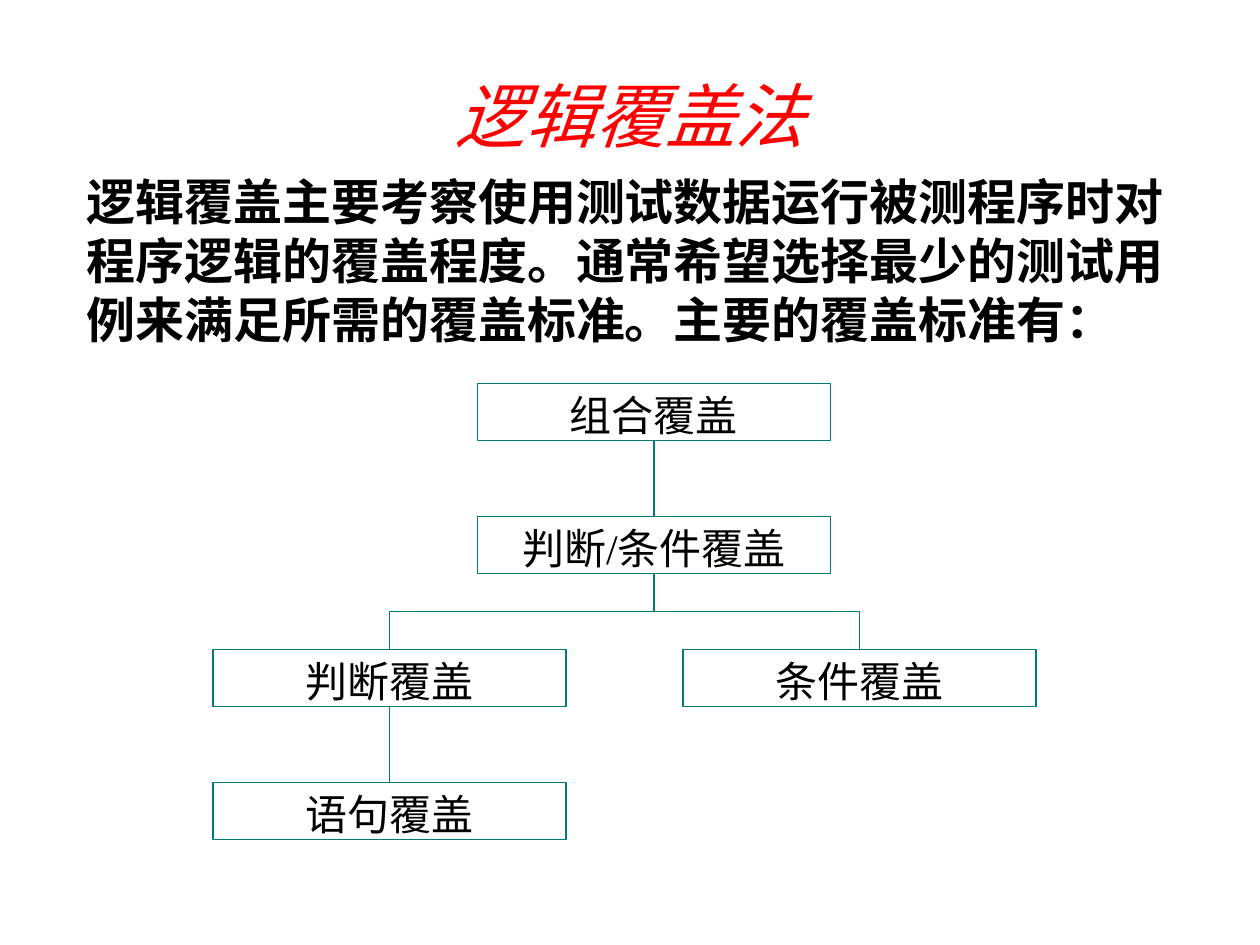
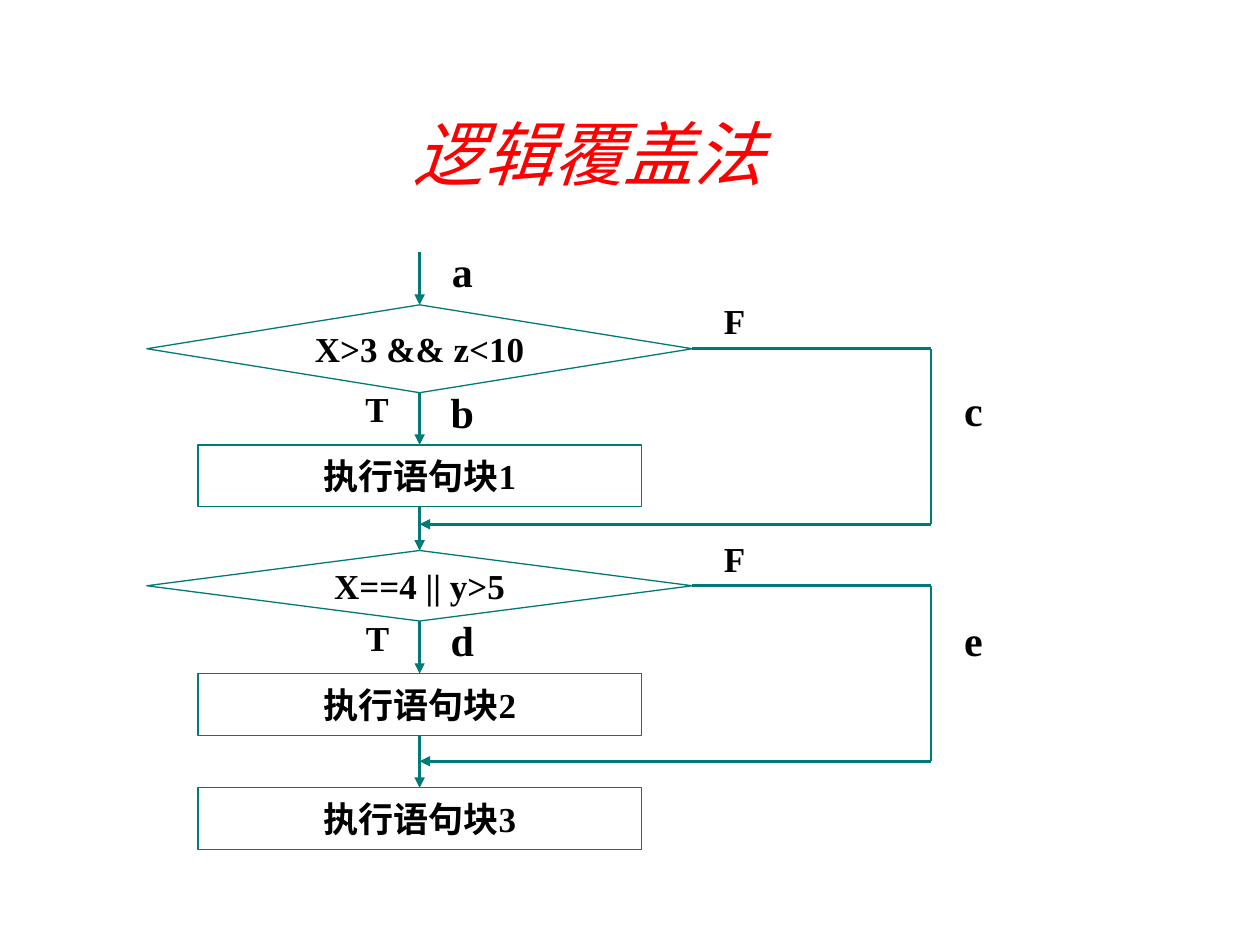
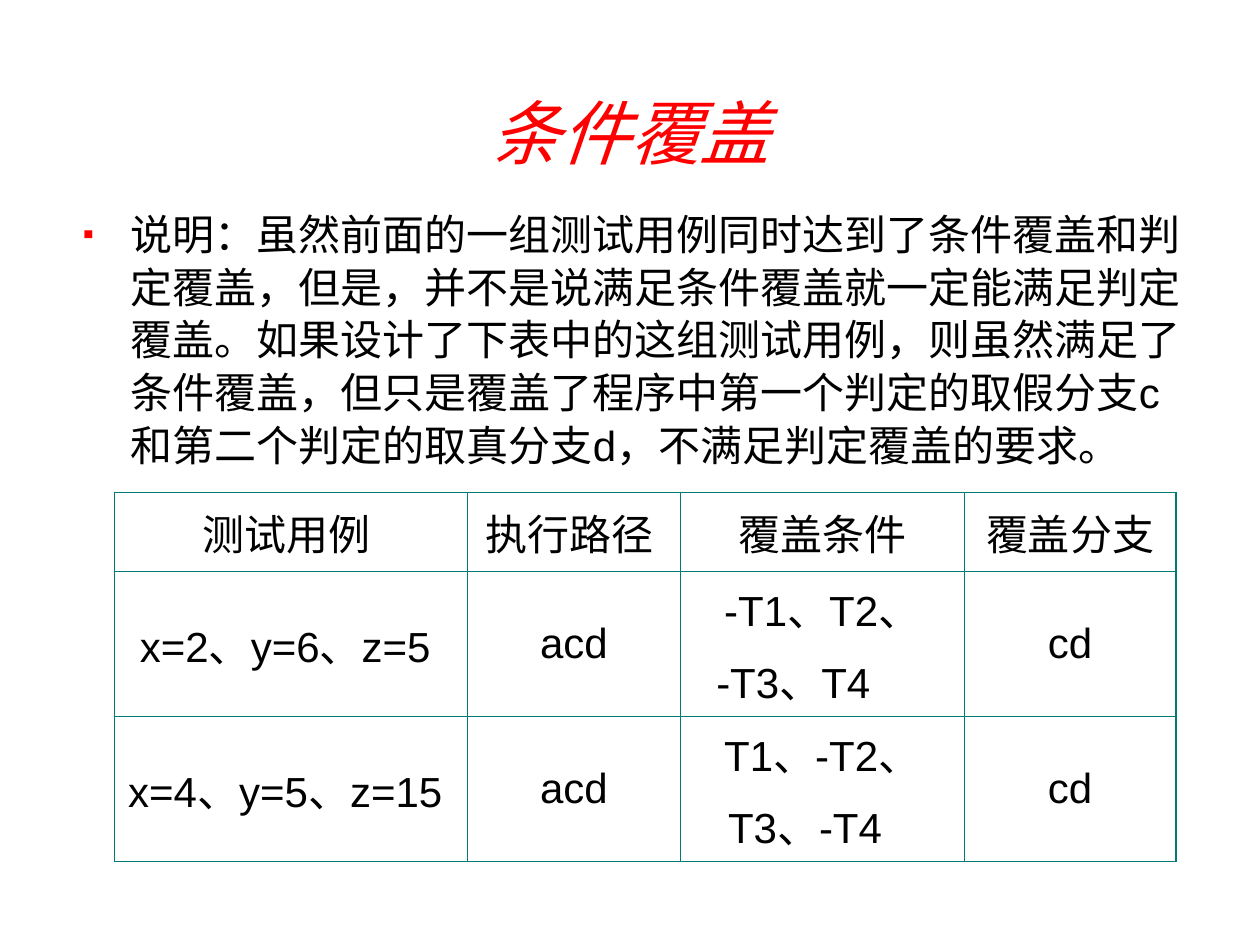
from lxml import etree
from pptx import Presentation
from pptx.dml.color import RGBColor
from pptx.enum.shapes import MSO_CONNECTOR, MSO_SHAPE
from pptx.enum.text import MSO_ANCHOR, PP_ALIGN
from pptx.oxml.ns import qn
from pptx.util import Pt

LINE = MSO_CONNECTOR.STRAIGHT
RECT = MSO_SHAPE.RECTANGLE
BLOCK = MSO_SHAPE.FLOWCHART_PROCESS
TEST = MSO_SHAPE.FLOWCHART_DECISION
TOP, MIDDLE, BOTTOM = MSO_ANCHOR.TOP, MSO_ANCHOR.MIDDLE, MSO_ANCHOR.BOTTOM
LEFT, CENTER = PP_ALIGN.LEFT, PP_ALIGN.CENTER
SANS, SERIF = "Arial", "Times New Roman"
RED, TEAL, BLACK = "FF0000", "007A77", "000000"
OUTER, INNER = 1.08, 0.45


def color(code):
    """Turn a hex string into a colour."""
    return RGBColor.from_string(code)


def add_node(parent, tag, **attrs):
    """Append a drawing element and return it."""
    node = etree.SubElement(parent, qn(tag))
    for name, value in attrs.items():
        node.set(name, str(value))
    return node


def style(para, size, font=SERIF, bold=False, italic=False, ink=BLACK, align=CENTER):
    """Format a paragraph and its runs."""
    para.alignment = align
    for run in para.runs:
        run.font.size = Pt(size)
        run.font.name = font
        run.font.bold = bold
        run.font.italic = italic
        run.font.color.rgb = color(ink)


def fill_text(shape, text, anchor, size, **look):
    """Put one styled paragraph into a shape."""
    frame = shape.text_frame
    frame.word_wrap = True
    frame.vertical_anchor = anchor
    frame.text = text
    para = frame.paragraphs[0]
    style(para, size, **look)
    return para


def add_text(slide, area, text, anchor, size, **look):
    """Add a text box."""
    box = slide.shapes.add_textbox(*map(Pt, area))
    return box, fill_text(box, text, anchor, size, **look)


def add_title(slide, text, area):
    """Add the red italic title."""
    add_text(slide, area, text, MIDDLE, 40, font=SANS, italic=True, ink=RED)


def add_box(slide, kind, area, text, anchor, size, bold=False):
    """Add an outlined shape with text."""
    box = slide.shapes.add_shape(kind, *map(Pt, area))
    box.shadow.inherit = False
    box.fill.background()
    box.line.color.rgb = color(TEAL)
    box.line.width = Pt(0.75)
    fill_text(box, text, anchor, size, bold=bold)


def add_line(slide, start, end, width=1.5, arrow=False):
    """Add a straight line, with an arrowhead on request."""
    line = slide.shapes.add_connector(LINE, *map(Pt, (*start, *end)))
    line.line.color.rgb = color(TEAL)
    line.line.width = Pt(width)
    if arrow:
        add_node(line.line._get_or_add_ln(), "a:tailEnd", type="triangle")
    add_node(line._element.spPr, "a:effectLst")


def add_label(slide, text, left, top, size):
    """Add a branch label without margins."""
    area = (left, top, 87.8, size * 1.2)
    box, _ = add_text(slide, area, text, BOTTOM, size, bold=True)
    frame = box.text_frame
    frame.margin_left = frame.margin_right = 0
    frame.margin_top = frame.margin_bottom = 0


def add_detour(slide, start, top, end, right, drop):
    """Lead a false branch round to the main flow."""
    low = top + drop
    add_line(slide, (start, top), (right, top))
    add_line(slide, (right, top), (right, low))
    add_line(slide, (right, low), (end, low), arrow=True)


def indent(para, left, first=0):
    """Set the left and first line indents."""
    props = para._p.get_or_add_pPr()
    props.set("marL", str(Pt(left)))
    props.set("indent", str(Pt(first)))
    return props


def add_bullet(para):
    """Give a paragraph a small red square."""
    props = indent(para, 27.36, -27.36)
    tint = add_node(props, "a:buClr")
    add_node(tint, "a:srgbClr", val=RED)
    add_node(props, "a:buSzPct", val=75000)
    add_node(props, "a:buFont", typeface=SANS)
    add_node(props, "a:buChar", char="▪")


def add_border(cell, widths):
    """Draw the left, right, top and bottom cell edges."""
    props = cell._tc.get_or_add_tcPr()
    for spot, (side, width) in enumerate(zip("LRTB", widths)):
        edge = add_node(props, f"a:ln{side}", w=Pt(width))
        paint = add_node(edge, "a:solidFill")
        add_node(paint, "a:srgbClr", val=TEAL)
        props.insert(spot, edge)


def fill_cell(cell, text, inset):
    """Write a cell, indenting any second line."""
    cell.fill.background()
    cell.vertical_anchor = MIDDLE
    cell.text_frame.text = text
    for spot, para in enumerate(cell.text_frame.paragraphs):
        style(para, 24, font=SANS, align=LEFT if spot else CENTER)
        para.space_before = Pt(6)
        if spot:
            indent(para, inset)


def add_grid(slide, area, cols, heights, rows, insets):
    """Add a table with a heavier outer frame."""
    table = slide.shapes.add_table(len(rows), len(cols), *map(Pt, area)).table
    table.first_row = table.horz_banding = False
    for col, width in zip(table.columns, cols):
        col.width = Pt(width)
    for r, row in enumerate(rows):
        table.rows[r].height = Pt(heights[r])
        for c, text in enumerate(row):
            cell = table.cell(r, c)
            fill_cell(cell, text, insets[r])
            edges = (c == 0, c == len(cols) - 1, r == 0, False)
            add_border(cell, [OUTER if edge else INNER for edge in edges])


def draw_tree(slide):
    """Build the tree of coverage criteria."""
    add_title(slide, "逻辑覆盖法", (23.8, 48.2, 672.5, 34.6))
    add_text(
        slide, (42.5, 94.5, 642.2, 108),
        "逻辑覆盖主要考察使用测试数据运行被测程序时对程序逻辑的覆盖程度。"
        "通常希望选择最少的测试用例来满足所需的覆盖标准。主要的覆盖标准有：",
        TOP, 28, bold=True, align=LEFT)
    wide, high = 201.6, 32.6
    left, mid, right = 222.6, 373.7, 491.2
    tops = [219 + 76 * level for level in range(4)]
    ends = [top + high for top in tops]
    bus = (ends[1] + tops[2]) / 2
    nodes = [(mid, 0, "组合覆盖"), (mid, 1, "判断/条件覆盖"), (left, 2, "判断覆盖"),
             (right, 2, "条件覆盖"), (left, 3, "语句覆盖")]
    for x, level, text in nodes:
        add_box(slide, RECT, (x - wide / 2, tops[level], wide, high), text, TOP, 24)
    stems = [(mid, ends[0], tops[1]), (mid, ends[1], bus), (left, bus, tops[2]),
             (right, bus, tops[2]), (left, ends[2], tops[3])]
    for x, top, end in stems:
        add_line(slide, (x, top), (x, end), 0.75)
    add_line(slide, (left, bus), (right, bus), 0.75)


def draw_flow(slide):
    """Build the flow chart with two decisions."""
    add_title(slide, "逻辑覆盖法", (0, 60, 672.5, 54))
    mid = 239.8
    steps = [(TEST, 174.2, 311.8, 50.2, "X>3 && z<10"),
             (BLOCK, 254.2, 253.4, 35.3, "执行语句块1"),
             (TEST, 314.6, 311.8, 40.3, "X==4 || y>5"),
             (BLOCK, 385, 253.4, 35.3, "执行语句块2"),
             (BLOCK, 450.2, 253.4, 35.3, "执行语句块3")]
    last = 144
    for kind, top, wide, high, text in steps:
        add_box(slide, kind, (mid - wide / 2, top, wide, high), text, MIDDLE, 20, True)
        add_line(slide, (mid, last), (mid, top), arrow=True)
        last = top + high
        if kind == TEST:
            add_detour(slide, mid + wide / 2, top + high / 2, mid, 532, 100.3)
    labels = [("F", 375.8, 171.4, 20), ("F", 375.8, 306.9, 20),
              ("T", 171.6, 221.6, 20), ("T", 171.9, 352.3, 20),
              ("a", 220.3, 140.4, 24), ("b", 220.3, 220.7, 24),
              ("d", 220.3, 351.2, 24), ("c", 512.4, 219.6, 24),
              ("e", 512.4, 351.2, 24)]
    for label in labels:
        add_label(slide, *label)


def draw_cases(slide):
    """Build the note and the table of test cases."""
    add_title(slide, "条件覆盖", (23.8, 48.2, 672.5, 54))
    _, para = add_text(
        slide, (40.3, 114, 653.8, 167),
        "说明：虽然前面的一组测试用例同时达到了条件覆盖和判定覆盖，但是，"
        "并不是说满足条件覆盖就一定能满足判定覆盖。如果设计了下表中的这组测试用例，"
        "则虽然满足了条件覆盖，但只是覆盖了程序中第一个判定的取假分支c "
        "和第二个判定的取真分支d，不满足判定覆盖的要求。",
        TOP, 24, font=SANS, align=LEFT)
    para.line_spacing = 1.05
    para.space_before = Pt(6)
    add_bullet(para)
    rows = [("测试用例 ", "执行路径 ", "覆盖条件", "覆盖分支"),
            ("x=2、y=6、z=5 ", "acd", "-T1、T2、\n-T3、T4", "cd"),
            ("x=4、y=5、z=15 ", "acd", "T1、-T2、\nT3、-T4", "cd")]
    cols, heights = (201.6, 121.7, 162, 121.3), (45.2, 82.9, 82.9)
    add_grid(slide, (65.5, 281.4, sum(cols), sum(heights)), cols, heights,
             rows, (0, 13.3, 20))


def main():
    """Build and save the deck."""
    deck = Presentation()
    deck.slide_width, deck.slide_height = Pt(720), Pt(540)
    for draw in (draw_tree, draw_flow, draw_cases):
        draw(deck.slides.add_slide(deck.slide_layouts[6]))
    deck.save("out.pptx")


if __name__ == "__main__":
    main()
